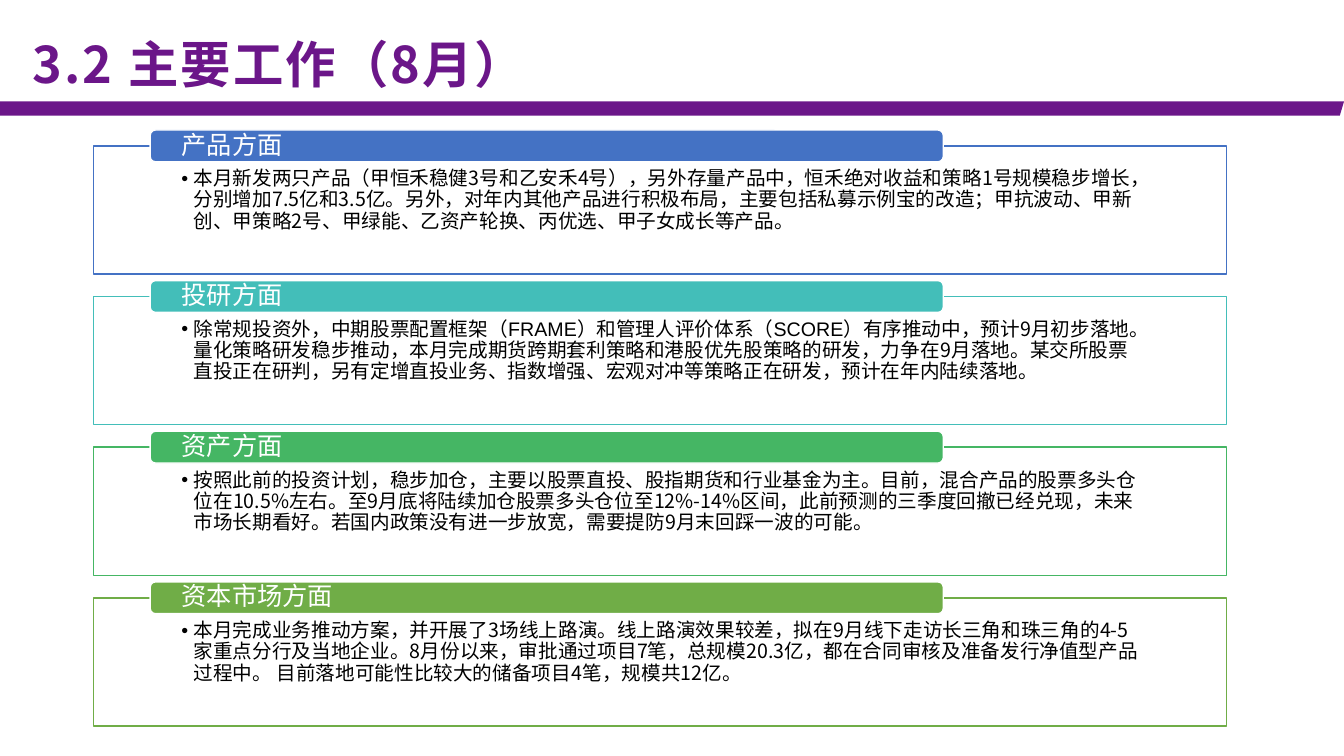
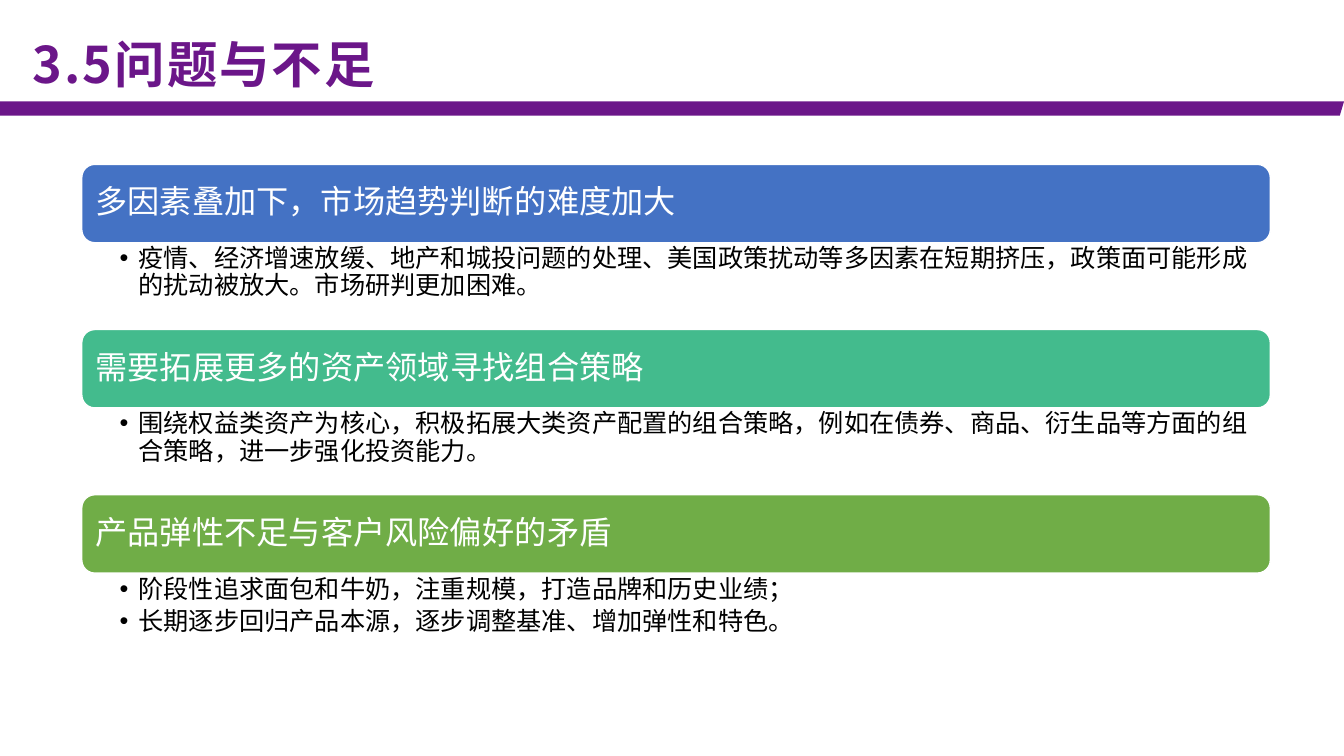
from lxml import etree
from pptx import Presentation
from pptx.dml.color import RGBColor
from pptx.enum.shapes import MSO_SHAPE
from pptx.enum.text import MSO_ANCHOR, PP_ALIGN
from pptx.oxml.ns import qn
from pptx.util import Pt

RECTANGLE = MSO_SHAPE.RECTANGLE
ROUNDED = MSO_SHAPE.ROUNDED_RECTANGLE
TOP, MIDDLE = MSO_ANCHOR.TOP, MSO_ANCHOR.MIDDLE
LEFT = PP_ALIGN.LEFT

CJK, LATIN = "Noto Sans CJK SC", "Arial"
COLORS = {
    "purple": "6B1689", "white": "FFFFFF", "black": "000000", "blue": "4472C4",
    "teal": "43BEB9", "mint": "43BB8D", "green": "45B664", "olive": "70AD47",
}
SLIDE_WIDTH, SLIDE_HEIGHT = 960, 540

# Each paragraph is a list of (text, font) runs.
WORK_TITLE = "3.2 主要工作（8月）"
WORK_AREAS = [
    ("产品方面", "blue", [[
        ("本月新发两只产品（甲恒禾稳健3号和乙安禾4号），另外存量产品中，恒禾绝对收益和策略1号规模稳步增长，"
         "分别增加7.5亿和3.5亿。另外，对年内其他产品进行积极布局，主要包括私募示例宝的改造；甲抗波动、甲新创、"
         "甲策略2号、甲绿能、乙资产轮换、丙优选、甲子女成长等产品。", CJK)]]),
    ("投研方面", "teal", [[
        ("除常规投资外，中期股票配置框架", CJK), ("（FRAME）", LATIN),
        ("和管理人评价体系", CJK), ("（SCORE）", LATIN),
        ("有序推动中，预计9月初步落地。量化策略研发稳步推动，本月完成期货跨期套利策略和港股优先股策略的研发，"
         "力争在9月落地。某交所股票直投正在研判，另有定增直投业务、指数增强、宏观对冲等策略正在研发，"
         "预计在年内陆续落地。", CJK)]]),
    ("资产方面", "green", [[
        ("按照此前的投资计划，稳步加仓，主要以股票直投、股指期货和行业基金为主。目前，混合产品的股票多头仓位在"
         "10.5%左右。至9月底将陆续加仓股票多头仓位至12%-14%区间，此前预测的三季度回撤已经兑现，"
         "未来市场长期看好。若国内政策没有进一步放宽，需要提防9月末回踩一波的可能。", CJK)]]),
    ("资本市场方面", "olive", [[
        ("本月完成业务推动方案，并开展了3场线上路演。线上路演效果较差，拟在9月线下走访长三角和珠三角的"
         "4-5家重点分行及当地企业。8月份以来，审批通过项目7笔，总规模20.3亿，都在合同审核及准备发行"
         "净值型产品过程中。 目前落地可能性比较大的储备项目4笔，规模共12亿。", CJK)]]),
]

PROBLEM_TITLE = "3.5问题与不足"
PROBLEMS = [
    ("多因素叠加下，市场趋势判断的难度加大", "blue", [[
        ("疫情、经济增速放缓、地产和城投问题的处理、美国政策扰动等多因素在短期挤压，政策面可能形成的扰动被放大。"
         "市场研判更加困难。", LATIN)]]),
    ("需要拓展更多的资产领域寻找组合策略", "mint", [[
        ("围绕权益类资产为核心，积极拓展大类资产配置的组合策略，例如在债券、商品、衍生品等方面的组合策略，"
         "进一步强化投资能力。", LATIN)]]),
    ("产品弹性不足与客户风险偏好的矛盾", "olive", [
        [("阶段性追求面包和牛奶，注重规模，打造品牌和历史业绩；", LATIN)],
        [("长期逐步回归产品本源，逐步调整基准、增加弹性和特色。", LATIN)]]),
]


def rgb(name):
    """Return the named colour."""
    return RGBColor.from_string(COLORS[name])


def add_box(slide, kind, box, fill, line):
    """Add a filled and outlined preset shape without shadow."""
    shape = slide.shapes.add_shape(kind, *map(Pt, box))
    shape.shadow.inherit = False
    shape.fill.solid()
    shape.fill.fore_color.rgb = rgb(fill)
    shape.line.color.rgb = rgb(line)
    shape.line.width = Pt(1)
    return shape


def write(shape, paragraphs, size, color, insets, anchor=MIDDLE,
          spacing=0.9, hanging=0, bold=False, tracking=0):
    """Write paragraphs run by run; a hanging indent brings bullets."""
    frame = shape.text_frame
    frame.word_wrap = True
    frame.vertical_anchor = anchor
    (frame.margin_left, frame.margin_top,
     frame.margin_right, frame.margin_bottom) = map(Pt, insets)
    for index, runs in enumerate(paragraphs):
        paragraph = frame.add_paragraph() if index else frame.paragraphs[0]
        paragraph.alignment = LEFT
        paragraph.line_spacing = spacing
        if hanging:
            paragraph.space_after = Pt(size * 0.2)
            add_bullet(paragraph, hanging)
        for text, font_name in runs:
            run = paragraph.add_run()
            run.text = text
            run.font.size = Pt(size)
            run.font.bold = bold
            run.font.color.rgb = rgb(color)
            run.font.name = font_name
            properties = run.font._element
            etree.SubElement(properties, qn("a:ea")).set("typeface", CJK)
            if tracking:
                properties.set("spc", str(int(tracking * 100)))


def add_bullet(paragraph, hanging):
    """Give a paragraph a round bullet and a hanging indent."""
    properties = paragraph._p.get_or_add_pPr()
    properties.set("marL", str(Pt(hanging)))
    properties.set("indent", str(-Pt(hanging)))
    etree.SubElement(properties, qn("a:buFont")).set("typeface", LATIN)
    etree.SubElement(properties, qn("a:buChar")).set("char", "•")


def add_titled_slide(presentation, title):
    """Add a blank slide with the purple band and its title."""
    slide = presentation.slides.add_slide(presentation.slide_layouts[6])
    top, bottom, slant = 72.5, 82.6, 3
    builder = slide.shapes.build_freeform(0, Pt(top))
    corners = [(SLIDE_WIDTH, top), (SLIDE_WIDTH - slant, bottom), (0, bottom)]
    builder.add_line_segments([(Pt(x), Pt(y)) for x, y in corners])
    band = builder.convert_to_shape()
    band.shadow.inherit = False
    band.fill.solid()
    band.fill.fore_color.rgb = rgb("purple")
    band.line.fill.background()
    heading = slide.shapes.add_textbox(Pt(15.2), Pt(5.8), Pt(709), Pt(66))
    write(heading, [[(title, CJK)]], 36, "purple", (8, 0, 6.5, 0),
          spacing=1.3, bold=True, tracking=1.5)
    return slide


def build_work_slide(presentation):
    """Draw outlined panels, each with a label bar on its top edge."""
    slide = add_titled_slide(presentation, WORK_TITLE)
    first_top, pitch, panel_height, bar_height = 104.2, 107.6, 91.6, 22.7
    for index, (label, color, paragraphs) in enumerate(WORK_AREAS):
        top = first_top + index * pitch
        panel = add_box(slide, RECTANGLE, (66.8, top, 809.3, panel_height),
                        "white", color)
        write(panel, paragraphs, 14, "black", (62.8, 16.4, 62.8, 7.9),
              anchor=TOP, hanging=8.8)
        bar = add_box(slide, ROUNDED, (107.3, top - bar_height / 2, 566.5, bar_height),
                      color, "white")
        write(bar, [[(label, CJK)]], 18, "white", (21.4, 0, 21.4, 0))


def build_problem_slide(presentation):
    """Draw wide header bars, each with bullets below it."""
    slide = add_titled_slide(presentation, PROBLEM_TITLE)
    left, width, first_top = 58.4, 849, 117.4
    bar_height, body_height = 56, 62
    for index, (label, color, paragraphs) in enumerate(PROBLEMS):
        top = first_top + index * (bar_height + body_height)
        bar = add_box(slide, ROUNDED, (left, top, width, bar_height), color, "white")
        write(bar, [[(label, LATIN)]], 23, "white", (7.2, 7.2, 7.2, 7.2))
        body = slide.shapes.add_textbox(
            Pt(left), Pt(top + bar_height), Pt(width), Pt(body_height))
        write(body, paragraphs, 18, "black", (27, 2.2, 13, 2.2),
              anchor=TOP, hanging=13.5)


presentation = Presentation()
presentation.slide_width = Pt(SLIDE_WIDTH)
presentation.slide_height = Pt(SLIDE_HEIGHT)
build_work_slide(presentation)
build_problem_slide(presentation)
presentation.save("out.pptx")
